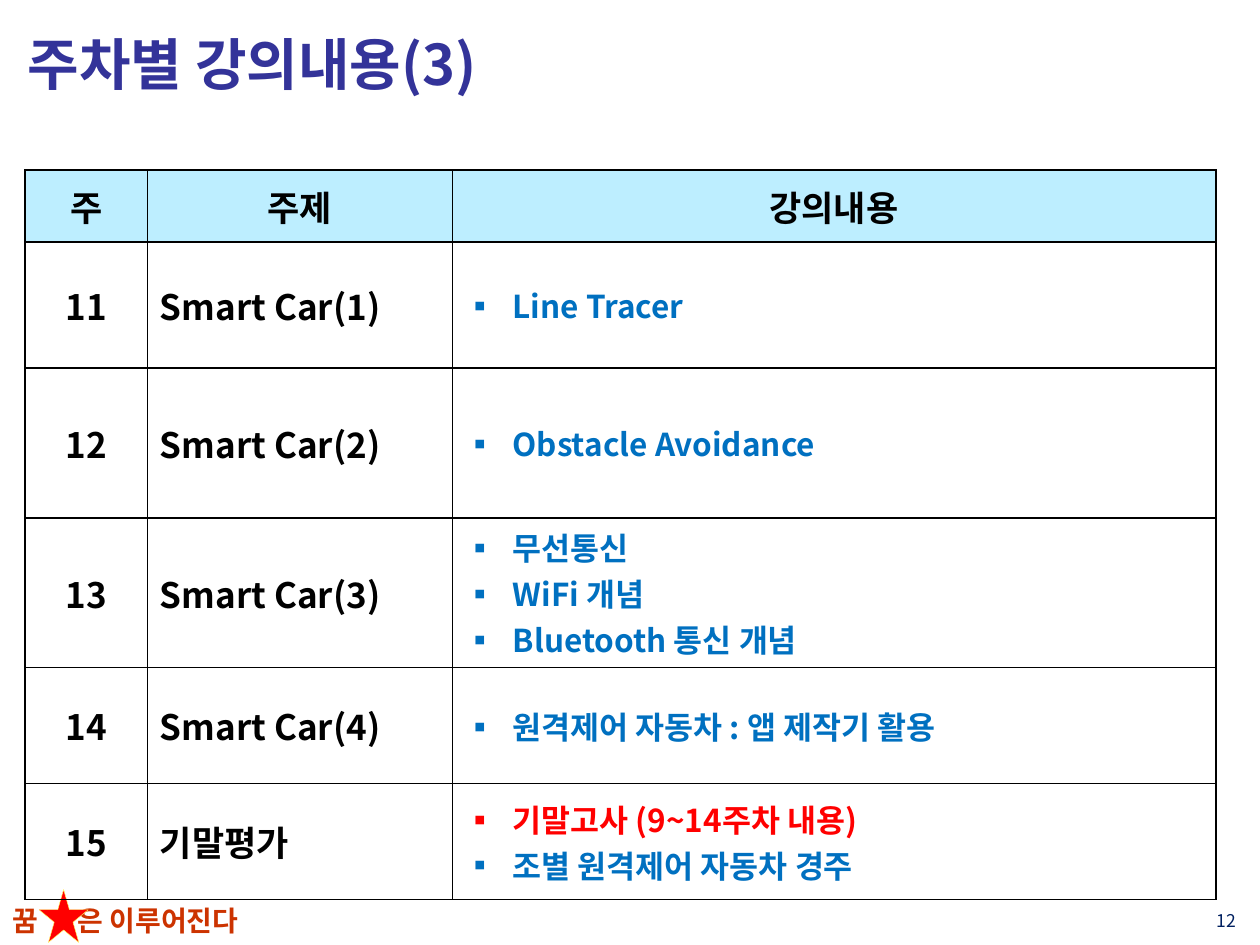
from dataclasses import dataclass

from lxml.etree import SubElement
from pptx import Presentation
from pptx.dml.color import RGBColor as Rgb
from pptx.enum.shapes import MSO_SHAPE as Shape
from pptx.enum.text import MSO_ANCHOR as Anchor, PP_ALIGN as Align
from pptx.oxml.ns import qn
from pptx.util import Inches, Pt


@dataclass(frozen=True)
class Theme:
    """Font, colours and type sizes of the slide."""
    font: str = "Noto Sans CJK KR"
    title: str = "333399"
    ink: str = "000000"
    topic: str = "0070C0"
    alert: str = "FF0000"
    motto: str = "CC3300"
    star_line: str = "FFFF66"
    page: str = "002060"
    header_fill: str = "BDEEFF"
    title_size: int = 32
    cell_size: int = 20
    topic_size: int = 18
    motto_size: int = 16
    page_size: int = 10


THEME = Theme()
COLUMNS, ROWS = 100, 75
HEADINGS = ("주", "주제", "강의내용")
WEEKS = (
    ("11", "Smart Car(1)", ("Line Tracer",)),
    ("12", "Smart Car(2)", ("Obstacle Avoidance",)),
    ("13", "Smart Car(3)", ("무선통신", "WiFi 개념", "Bluetooth 통신 개념")),
    ("14", "Smart Car(4)", ("원격제어 자동차 : 앱 제작기 활용",)),
    ("15", "기말평가", ("기말고사 (9~14주차 내용)", "조별 원격제어 자동차 경주")),
)
EXAM = WEEKS[-1][2][0]
COLUMN_SPANS = (9.7, 24.2, 60.6)
ROW_SPANS = (5.7, 10, 11.9, 11.9, 9.2, 9.2)


def grid(*spans):
    """Turn spans of the slide grid into lengths."""
    return [Inches(span * 10 / COLUMNS) for span in spans]


def style(paragraph, size, color, bold=True, align=Align.LEFT):
    """Format a paragraph and its runs in the theme font."""
    paragraph.alignment = align
    for run in paragraph.runs:
        font = run.font
        font.size, font.bold, font.name = Pt(size), bold, THEME.font
        font.color.rgb = Rgb.from_string(color)
        SubElement(font._element, qn("a:ea"), typeface=THEME.font)


def add_bullet(paragraph):
    """Give a paragraph a square bullet with a hanging indent."""
    indent = Inches(0.38)
    properties = paragraph._p.get_or_add_pPr()
    properties.set("marL", str(indent))
    properties.set("indent", str(-indent))
    SubElement(properties, qn("a:buFont"), typeface=THEME.font)
    SubElement(properties, qn("a:buChar"), char="▪")


def add_borders(cell):
    """Draw a thin line on each side of a cell."""
    properties = cell._tc.get_or_add_tcPr()
    for side in ("lnL", "lnR", "lnT", "lnB"):
        line = SubElement(properties, qn(f"a:{side}"), w=str(Pt(1)))
        fill = SubElement(line, qn("a:solidFill"))
        SubElement(fill, qn("a:srgbClr"), val=THEME.ink)


def fill_cell(cell, lines, align=Align.LEFT, header=False, bulleted=False):
    """Write the lines of one table cell and format it."""
    add_borders(cell)
    cell.vertical_anchor = Anchor.MIDDLE
    if header:
        cell.fill.solid()
        cell.fill.fore_color.rgb = Rgb.from_string(THEME.header_fill)
    else:
        cell.fill.background()
    cell.text_frame.text = "\n".join(lines)
    for line, paragraph in zip(lines, cell.text_frame.paragraphs):
        if bulleted:
            style(paragraph, THEME.topic_size, THEME.alert if line == EXAM else THEME.topic)
            add_bullet(paragraph)
        else:
            style(paragraph, THEME.cell_size, THEME.ink, align=align)


def add_schedule(slide):
    """Add the table of weeks, subjects and topics."""
    area = grid(2, 13.5, sum(COLUMN_SPANS), sum(ROW_SPANS))
    table = slide.shapes.add_table(len(ROW_SPANS), len(COLUMN_SPANS), *area).table
    for column, width in zip(table.columns, grid(*COLUMN_SPANS)):
        column.width = width
    for row, height in zip(table.rows, grid(*ROW_SPANS)):
        row.height = height
    for column, heading in enumerate(HEADINGS):
        fill_cell(table.cell(0, column), [heading], Align.CENTER, header=True)
    for row, (week, subject, topics) in enumerate(WEEKS, start=1):
        fill_cell(table.cell(row, 0), [week], Align.CENTER)
        fill_cell(table.cell(row, 1), [subject])
        fill_cell(table.cell(row, 2), topics, bulleted=True)


def add_title(slide, text):
    """Place the title in its placeholder."""
    title = slide.shapes.title
    title.left, title.top, title.width, title.height = grid(1.2, 0.6, 97.6, 8.8)
    title.text_frame.text = text
    title.text_frame.vertical_anchor = Anchor.MIDDLE
    style(title.text_frame.paragraphs[0], THEME.title_size, THEME.title)


def add_label(slide, text, area, size, color, **options):
    """Add a one-line text box and return its paragraph."""
    frame = slide.shapes.add_textbox(*grid(*area)).text_frame
    frame.word_wrap = True
    frame.vertical_anchor = Anchor.MIDDLE
    frame.text = text
    style(frame.paragraphs[0], size, color, **options)
    return frame.paragraphs[0]


def add_motto(slide):
    """Add the motto with a star in its gap."""
    motto = add_label(slide, "꿈\t은 이루어진다", (0, 71.2, 24.8, 3.7),
                      THEME.motto_size, THEME.motto)
    stops = SubElement(motto._p.get_or_add_pPr(), qn("a:tabLst"))
    SubElement(stops, qn("a:tab"), pos=str(Inches(0.52)), algn="l")
    star = slide.shapes.add_shape(Shape.STAR_5_POINT, *grid(3.1, 70.6, 3.9, 4.2))
    star.shadow.inherit = False
    star.fill.solid()
    star.fill.fore_color.rgb = Rgb.from_string(THEME.alert)
    star.line.color.rgb = Rgb.from_string(THEME.star_line)
    star.line.width = Pt(0.25)


def main():
    """Build the slide and save it."""
    deck = Presentation()
    deck.slide_width, deck.slide_height = grid(COLUMNS, ROWS)
    slide = deck.slides.add_slide(deck.slide_layouts.get_by_name("Title Only"))
    add_motto(slide)
    add_title(slide, "주차별 강의내용(3)")
    add_label(slide, "12", (93.3, 71.5, 5.8, 3.1), THEME.page_size, THEME.page,
              bold=False, align=Align.RIGHT)
    add_schedule(slide)
    deck.save("out.pptx")


if __name__ == "__main__":
    main()
